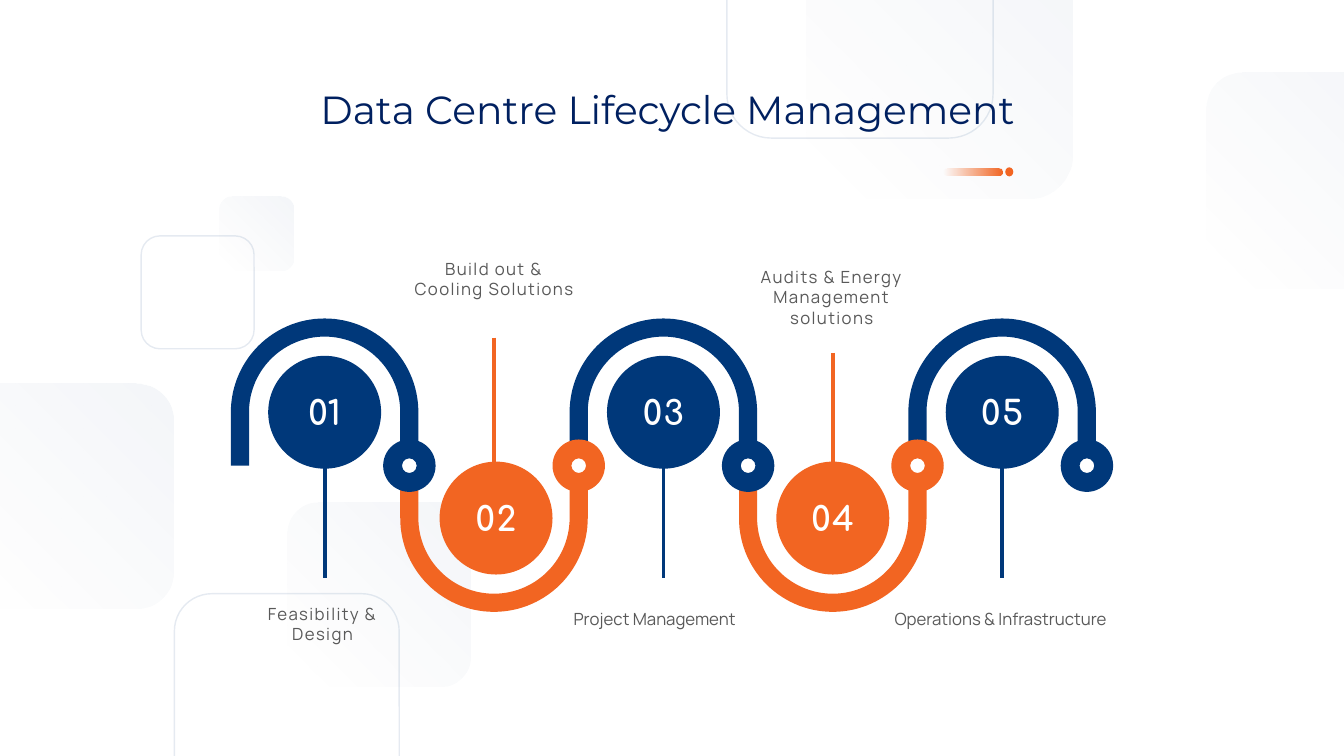
import math

from lxml import etree
from pptx import Presentation
from pptx.dml.color import RGBColor
from pptx.enum.shapes import MSO_CONNECTOR, MSO_SHAPE
from pptx.enum.text import MSO_ANCHOR, MSO_AUTO_SIZE, PP_ALIGN
from pptx.oxml.ns import qn
from pptx.util import Pt

NAVY = RGBColor(0x00, 0x38, 0x7A)
ORANGE = RGBColor(0xF2, 0x65, 0x22)
INK = RGBColor(0x00, 0x20, 0x60)
GREY = RGBColor(0x59, 0x59, 0x59)
WHITE = RGBColor(0xFF, 0xFF, 0xFF)

OVAL, DONUT = MSO_SHAPE.OVAL, MSO_SHAPE.DONUT
ROUND = MSO_SHAPE.ROUNDED_RECTANGLE
LINE = MSO_CONNECTOR.STRAIGHT
LEFT, MID = PP_ALIGN.LEFT, PP_ALIGN.CENTER
TOP, CENTRE = MSO_ANCHOR.TOP, MSO_ANCHOR.MIDDLE
FIXED = MSO_AUTO_SIZE.NONE

PX = 9144  # EMU in one px, 100 px to the inch


def fade(part, alphas):
    """Set the opacity, in percent, of each colour in an XML part."""
    for tint, alpha in zip(list(part.iter(qn("a:srgbClr"))), alphas):
        etree.SubElement(tint, qn("a:alpha")).set("val", str(alpha * 1000))


class Page:
    body, head, digit = "Manrope", "Montserrat", "Comfortaa"

    def __init__(self, deck):
        self.slide = deck.slides.add_slide(deck.slide_layouts[5])
        self.shapes = self.slide.shapes

    def shape(self, kind, x, y, w, h, color=None):
        item = self.shapes.add_shape(kind, x * PX, y * PX, w * PX, h * PX)
        item.shadow.inherit = False
        item.line.fill.background()
        if color is None:
            item.fill.background()
        else:
            item.fill.solid()
            item.fill.fore_color.rgb = color
        return item

    def disc(self, x, y, size, color, kind=OVAL):
        return self.shape(kind, x - size // 2, y - size // 2, size, size, color)

    def blend(self, x, y, w, h, color, alphas, angle):
        item = self.shape(ROUND, x, y, w, h)
        item.fill.gradient()
        item.fill.gradient_angle = angle
        for stop in item.fill.gradient_stops:
            stop.color.rgb = color
        fade(item.element.spPr, alphas)
        return item

    def frame(self, x, y, size):
        item = self.shape(ROUND, x, y, size, size)
        item.line.color.rgb = NAVY
        item.line.width = Pt(1)
        fade(item.element.spPr, [10])

    def stem(self, x, top, end, color):
        line = self.shapes.add_connector(LINE, x * PX, top * PX, x * PX, end * PX)
        line.line.color.rgb = color
        line.line.width = Pt(2.75)
        etree.SubElement(line.element.spPr, qn("a:effectLst"))

    def arch(self, x, y, foot, side, color):
        """Draw a band 18 px wide; side is -1 for a rise, 1 for a dip."""
        def curve(size, turns):
            return [(x + size * math.cos(math.radians(t)),
                     y + side * size * math.sin(math.radians(t)))
                    for t in turns]

        points = [(x - 93, foot), *curve(93, range(180, -1, -3)),
                  (x + 93, foot), (x + 75, foot),
                  *curve(75, range(0, 181, 3)), (x - 75, foot)]
        points = [(round(a * PX), round(b * PX)) for a, b in points]
        outline = self.shapes.build_freeform(*points[0])
        outline.add_line_segments(points[1:], close=True)
        band = outline.convert_to_shape()
        band.shadow.inherit = False
        band.fill.solid()
        band.fill.fore_color.rgb = color
        band.line.fill.background()

    def words(self, item, text, font, size, color, align=MID, gap=0, bold=False):
        frame = item.text_frame
        frame.text = text
        frame.word_wrap = True
        frame.auto_size = FIXED
        para = frame.paragraphs[0]
        para.alignment = align
        run = para.runs[0]
        run.font.name, run.font.size = font, Pt(size)
        run.font.bold = bold
        run.font.color.rgb = color
        if gap:
            run.font._element.set("spc", str(gap * 100))
        return frame

    def label(self, text, x, y, w, h, gap, align):
        box = self.shapes.add_textbox(x * PX, y * PX, w * PX, h * PX)
        self.words(box, text, self.body, 12, GREY, align, gap)

    def number(self, item, text):
        frame = self.words(item, text, self.digit, 24, WHITE, gap=1, bold=True)
        frame.vertical_anchor = CENTRE
        frame.margin_left = frame.margin_right = 0
        frame.margin_top = frame.margin_bottom = 0

    def title(self, text, x, y, w, h):
        item = self.shapes.title
        item.left, item.top, item.width, item.height = (
            n * PX for n in (x, y, w, h))
        self.words(item, text, self.head, 28, INK).vertical_anchor = TOP
        item.element.getparent().append(item.element)  # bring to front


def main():
    deck = Presentation()
    deck.slide_width, deck.slide_height = 1333 * PX, 750 * PX
    page = Page(deck)

    # Backdrop of soft squares and thin frames
    for x, y, size in [(285, 499, 182), (-51, 381, 223), (218, 195, 73),
                       (1197, 72, 214), (800, -67, 264)]:
        page.blend(x, y, size, size, NAVY, (0, 5), 45)
    for x, y, size in [(140, 234, 112), (173, 589, 223), (721, -127, 264)]:
        page.frame(x, y, size)

    # Steps: text, label box, letter gap, alignment, disc x, stem x, top, end
    steps = [
        ("Feasibility & Design", (230, 594, 180, 50), 1, MID, 322, 322, 409, 573),
        ("Build out & Cooling Solutions", (400, 252, 180, 50), 1, MID,
         492, 490, 335, 499),
        ("Project Management", (559, 599, 201, 30), 0, LEFT, 658, 658, 409, 573),
        ("Audits & Energy Management solutions", (728, 260, 194, 71), 1, MID,
         826, 826, 350, 514),
        ("Operations & Infrastructure", (865, 599, 255, 30), 0, MID,
         994, 994, 409, 573),
    ]
    pitch, foot = 168, 462
    tints = [(NAVY, ORANGE)[i % 2] for i in range(len(steps))]

    # Winding band
    for i, color in enumerate(tints):
        dip = i % 2
        page.arch(322 + pitch * i, 514 if dip else 409, foot,
                  1 if dip else -1, color)

    # Joints along the band
    for i, color in enumerate(tints):
        x = 406 + pitch * i
        page.disc(x, foot, 34, WHITE)
        ring = page.disc(x, foot, 52, color, DONUT)
        ring.adjustments[0] = 0.36

    # Stems, numbered discs and labels
    for i, (text, box, gap, align, x, post, top, end) in enumerate(steps):
        page.stem(post, top, end, tints[i])
        disc = page.disc(x, 514 if i % 2 else 409, 112, tints[i])
        page.number(disc, f"{i + 1:02}")
        page.label(text, *box, gap, align)

    # Title and its accent
    page.title("Data Centre Lifecycle Management", 191, 80, 942, 57)
    page.shape(OVAL, 997, 166, 8, 9, ORANGE)
    bar = page.blend(936, 167, 58, 7, ORANGE, (0, 100), 0)
    bar.adjustments[0] = 0.5

    deck.save("out.pptx")


if __name__ == "__main__":
    main()
